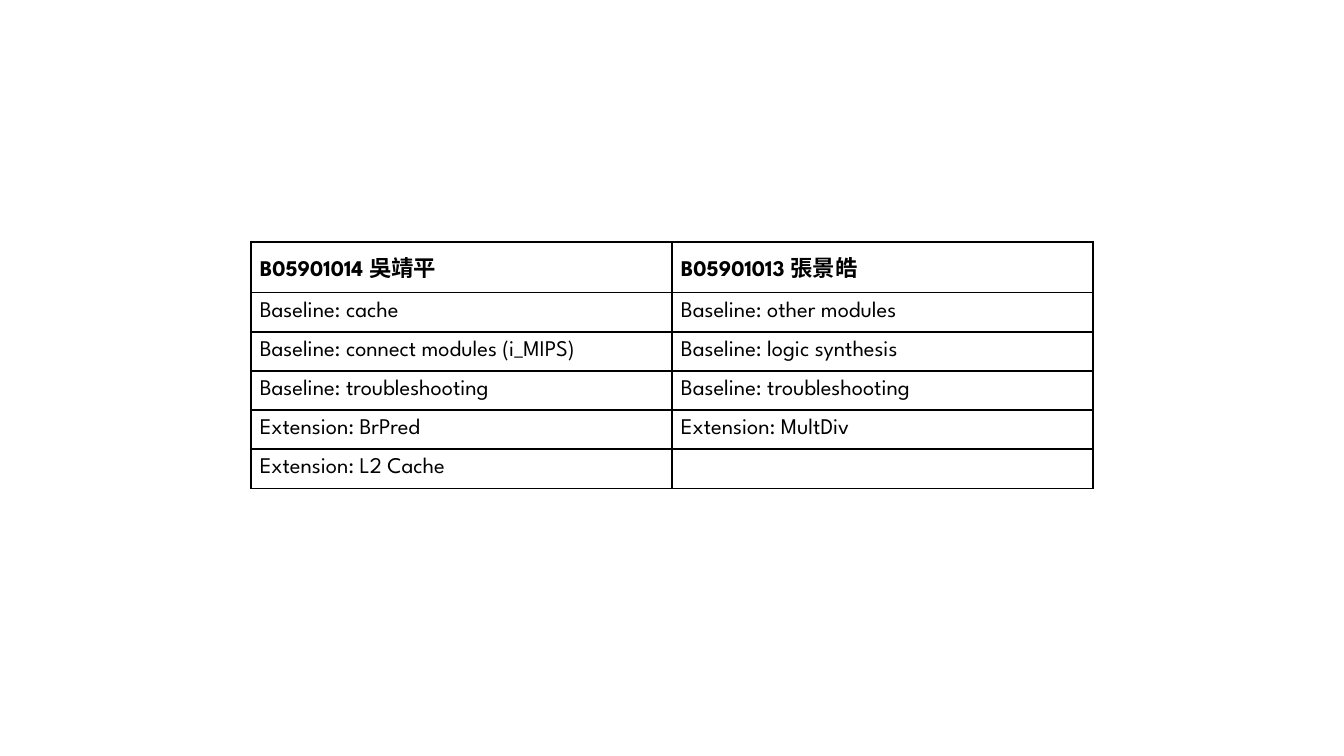
import lxml.etree
import pptx
import pptx.dml.color
import pptx.oxml.ns
import pptx.util

Cm = pptx.util.Cm
Pt = pptx.util.Pt
qn = pptx.oxml.ns.qn

FONT = "League Spartan"
FONT_SIZE = 12
BLACK = "000000"
COLUMN_WIDTH = 7.96
HEADER_HEIGHT = 0.96
TASK_HEIGHT = 0.74
INSET = 0.17

MEMBERS = ("B05901014 吳靖平", "B05901013 張景皓")
TASKS = [
    ("Baseline: cache", "Baseline: other modules"),
    ("Baseline: connect modules (i_MIPS)", "Baseline: logic synthesis"),
    ("Baseline: troubleshooting", "Baseline: troubleshooting"),
    ("Extension: BrPred", "Extension: MultDiv"),
    ("Extension: L2 Cache", ""),
]


def color(value):
    return pptx.dml.color.RGBColor.from_string(value)


def write_text(paragraph, text, size=FONT_SIZE, font=FONT, fill=BLACK, bold=False):
    if not text:
        ending = lxml.etree.SubElement(paragraph._p, qn("a:endParaRPr"), sz=str(size * 100))
        lxml.etree.SubElement(ending, qn("a:latin"), typeface=font)
        return
    run = paragraph.add_run()
    run.text = text
    run.font.size = Pt(size)
    run.font.name = font
    run.font.bold = bold
    run.font.color.rgb = color(fill)


def add_borders(cell, line_color=BLACK, width=1):
    properties = cell._tc.get_or_add_tcPr()
    for position, side in enumerate(("a:lnL", "a:lnR", "a:lnT", "a:lnB")):
        border = lxml.etree.Element(qn(side), w=str(Pt(width)))
        solid = lxml.etree.SubElement(border, qn("a:solidFill"))
        lxml.etree.SubElement(solid, qn("a:srgbClr"), val=line_color)
        properties.insert(position, border)


def format_cell(cell, text, bold):
    cell.margin_left = cell.margin_right = Cm(INSET)
    cell.margin_top = cell.margin_bottom = Cm(INSET)
    cell.fill.background()
    add_borders(cell)
    write_text(cell.text_frame.paragraphs[0], text, bold=bold)


def add_work_split(slide, left, top):
    entries = [MEMBERS] + TASKS
    height = HEADER_HEIGHT + TASK_HEIGHT * len(TASKS)
    work_split = slide.shapes.add_table(
        len(entries), len(MEMBERS), Cm(left), Cm(top),
        Cm(COLUMN_WIDTH * len(MEMBERS)), Cm(height)
    ).table
    work_split.first_row = False
    work_split.horz_banding = False
    for column in work_split.columns:
        column.width = Cm(COLUMN_WIDTH)
    for index, entry in enumerate(entries):
        is_header = index == 0
        work_split.rows[index].height = Cm(HEADER_HEIGHT if is_header else TASK_HEIGHT)
        for cell, text in zip(work_split.rows[index].cells, entry):
            format_cell(cell, text, bold=is_header)


def main():
    deck = pptx.Presentation()
    deck.slide_width = Cm(25.4)
    deck.slide_height = Cm(14.29)
    slide = deck.slides.add_slide(deck.slide_layouts[6])
    add_work_split(slide, left=4.74, top=4.57)
    deck.save("out.pptx")


if __name__ == "__main__":
    main()
